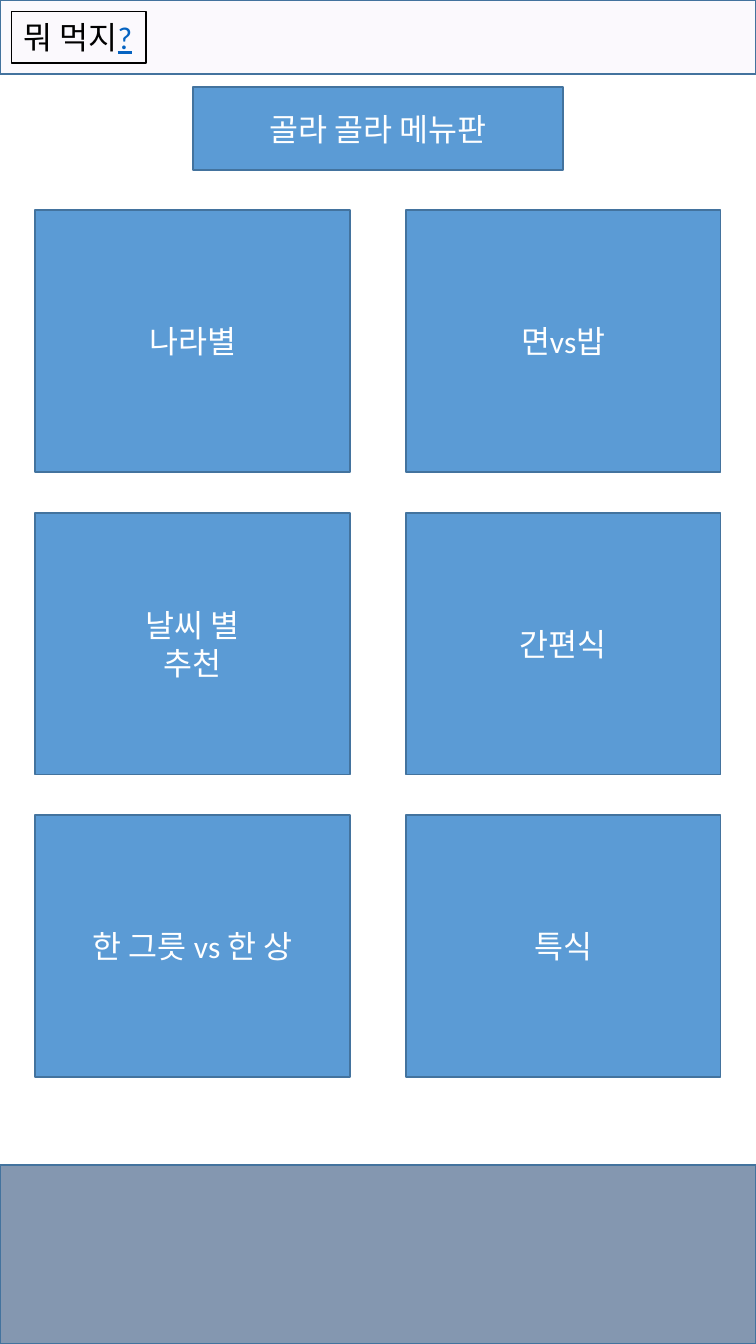
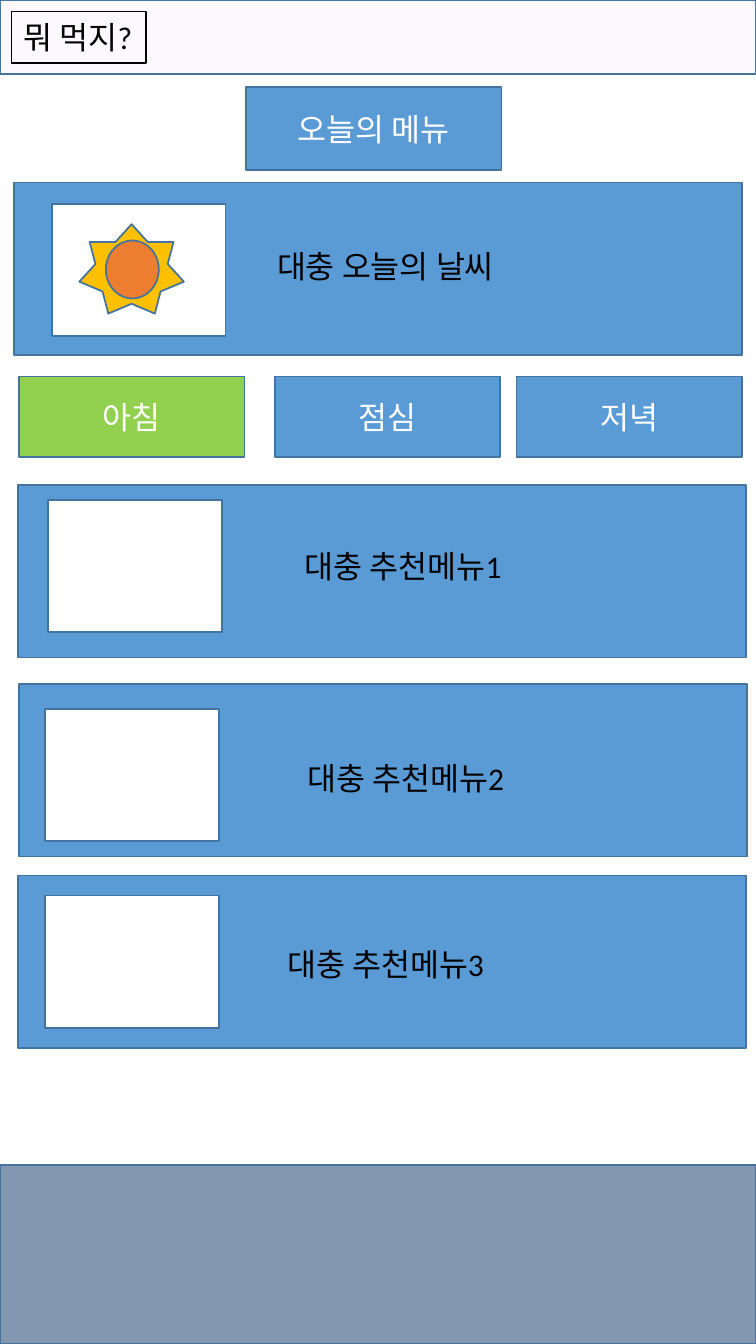
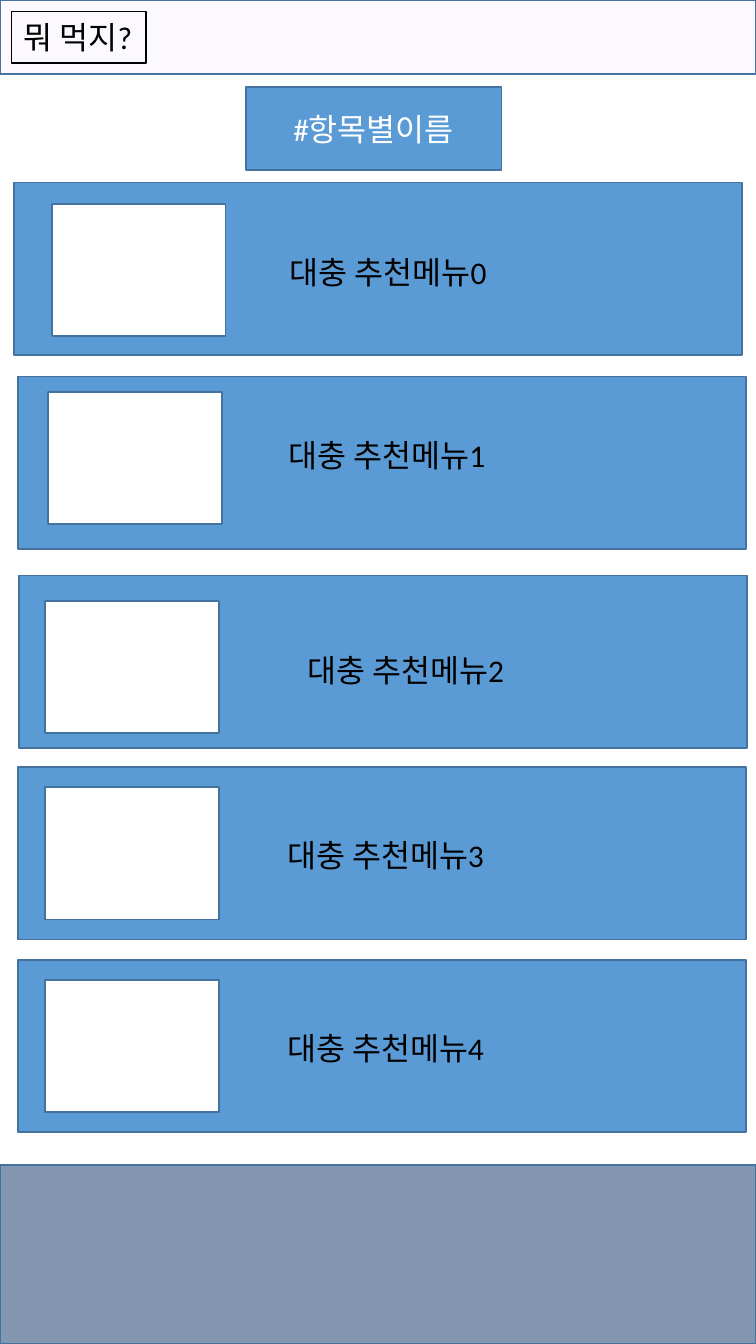
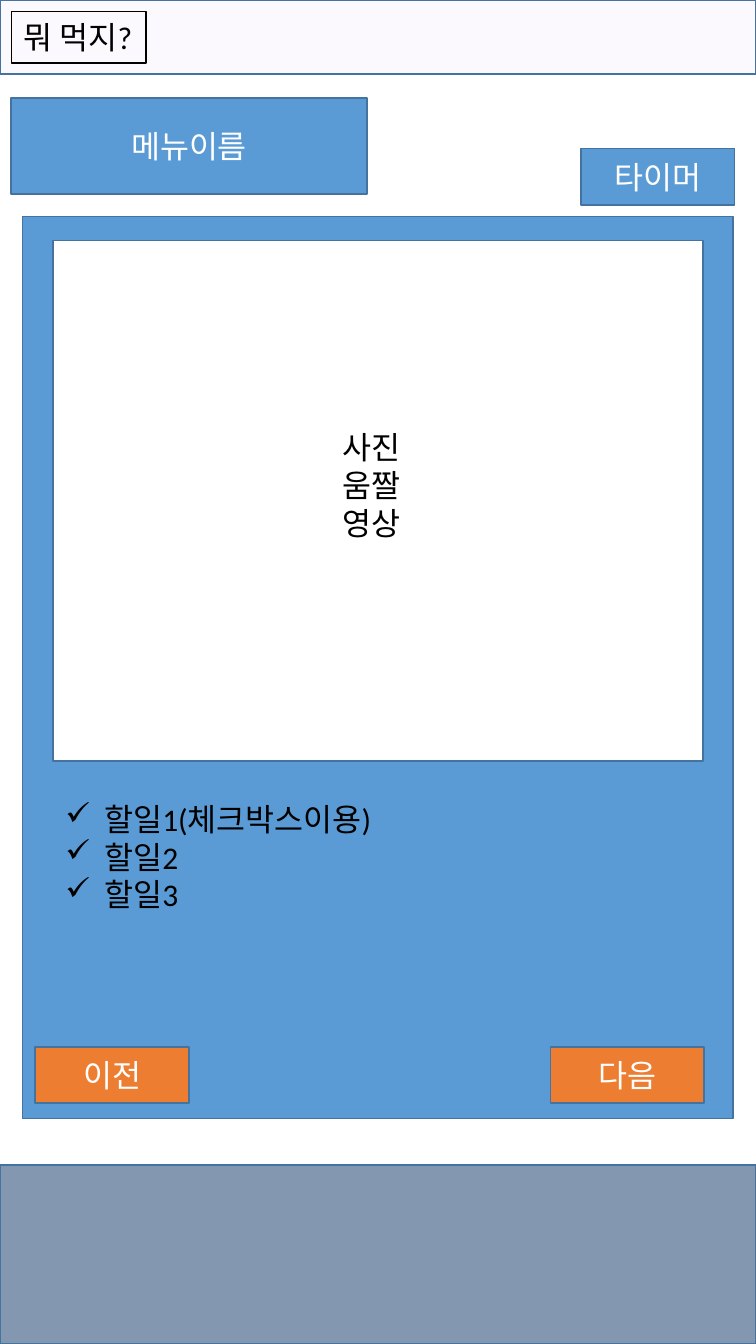
from dataclasses import dataclass

from lxml import etree
from pptx import Presentation, util as u
from pptx.dml.color import RGBColor
from pptx.enum import shapes, text
from pptx.oxml import ns

WIDTH, HEIGHT = 6, 10.67
FONT = "Calibri"
FONT_SIZE = 18

BLUE = RGBColor(0x5B, 0x9B, 0xD5)
EDGE = RGBColor(0x43, 0x73, 0x9E)
LILAC = RGBColor(0xEE, 0xE5, 0xF7)
SLATE = RGBColor(0x84, 0x97, 0xB0)
GREEN = RGBColor(0x92, 0xD0, 0x50)
ORANGE = RGBColor(0xED, 0x7D, 0x31)
GOLD = RGBColor(0xFF, 0xC0, 0x00)
LINK = RGBColor(0x05, 0x63, 0xC1)
WHITE = RGBColor(0xFF, 0xFF, 0xFF)
BLACK = RGBColor(0x00, 0x00, 0x00)

KIND = shapes.MSO_SHAPE
CARD_SIZE = (5.78, 1.37)
PHOTO_SIZE = (1.38, 1.05)
LABEL_SIZE = (3.29, 0.4)
BUTTON_SIZE = (1.22, 0.45)


@dataclass
class MenuRow:
    """Left edges of a row's parts, and drops from the top of its card."""
    card_left: float
    photo_left: float
    photo_drop: float
    label_left: float
    label_drop: float


WEATHER_ROW = MenuRow(0.11, 0.41, 0.17, 2.1, 0.46)
FIRST_ROW = MenuRow(0.11, 0.41, 0.17, 2.2, 0.51)
MORNING_ROW = MenuRow(0.14, 0.38, 0.12, 2.32, 0.44)
UPPER_ROW = MenuRow(0.14, 0.38, 0.12, 2.19, 0.42)
MIDDLE_ROW = MenuRow(0.15, 0.36, 0.2, 2.34, 0.55)
LOWER_ROW = MenuRow(0.14, 0.36, 0.16, 2.18, 0.5)


def inches(*lengths):
    """Turn numbers into lengths."""
    return [u.Inches(length) for length in lengths]


def add_span(para, words, color, underline=None):
    """Add a run in the deck's font."""
    span = para.add_run()
    span.text = words
    span.font.name = FONT
    span.font.size = u.Pt(FONT_SIZE)
    span.font.bold = False
    span.font.color.rgb = color
    span.font.underline = underline


def write(box, words, color=WHITE, align=text.PP_ALIGN.CENTER,
          anchor=text.MSO_ANCHOR.MIDDLE):
    """Write one paragraph for each line of words."""
    frame = box.text_frame
    frame.word_wrap = True
    frame.auto_size = text.MSO_AUTO_SIZE.NONE
    frame.vertical_anchor = anchor
    for number, line in enumerate(words.split("\n")):
        para = frame.add_paragraph() if number else frame.paragraphs[0]
        para.alignment = align
        add_span(para, line, color)


def paint(box, fill=BLUE, line=EDGE, weight=1):
    """Set the fill and outline of a box."""
    if fill is None:
        box.fill.background()
    else:
        box.fill.solid()
        box.fill.fore_color.rgb = fill
    box.line.color.rgb = line
    box.line.width = u.Pt(weight)


def add_box(page, left, top, width, height, words="", kind=KIND.RECTANGLE,
            **colors):
    """Add a painted preset shape with centred white text."""
    box = page.shapes.add_shape(kind, *inches(left, top, width, height))
    box.shadow.inherit = False
    paint(box, **colors)
    if words:
        write(box, words)
    return box


def add_label(page, left, top, width, height, words):
    """Add black left-aligned text without a frame."""
    label = page.shapes.add_textbox(*inches(left, top, width, height))
    write(label, words, BLACK, text.PP_ALIGN.LEFT, text.MSO_ANCHOR.TOP)
    return label


def add_title(page, left, top, width, height, words, preset="roundRect"):
    """Shape the title placeholder as a blue plate."""
    title = page.shapes.title
    title.left, title.top, title.width, title.height = inches(
        left, top, width, height)
    outline = etree.SubElement(title.element.spPr, ns.qn("a:prstGeom"),
                               prst=preset)
    etree.SubElement(outline, ns.qn("a:avLst"))
    paint(title)
    write(title, words)


def add_page(deck, linked=False):
    """Add a page with the app's header band, name and footer band."""
    page = deck.slides.add_slide(deck.slide_layouts[5])
    header = add_box(page, 0, 0, WIDTH, 0.59, fill=LILAC)
    color = header.element.spPr.find(
        ns.qn("a:solidFill")).find(ns.qn("a:srgbClr"))
    etree.SubElement(color, ns.qn("a:alpha"), val="20000")

    name = add_box(page, 0.09, 0.09, 1.07, 0.41, fill=None, line=BLACK,
                   weight=0.75)
    write(name, "뭐 먹지" if linked else "뭐 먹지?", BLACK,
          text.PP_ALIGN.LEFT, text.MSO_ANCHOR.TOP)
    name.text_frame.margin_right = 0
    if linked:
        add_span(name.text_frame.paragraphs[0], "?", LINK, underline=True)

    add_box(page, 0, 9.25, WIDTH, HEIGHT - 9.25, fill=SLATE)
    return page


def add_menu_row(page, row, top, words):
    """Add a card with a photo space and a label."""
    add_box(page, row.card_left, top, *CARD_SIZE)
    add_box(page, row.photo_left, top + row.photo_drop, *PHOTO_SIZE,
            fill=WHITE)
    add_label(page, row.label_left, top + row.label_drop, *LABEL_SIZE, words)


def add_sun(page):
    """Draw the sun of the weather card."""
    add_box(page, 0.63, 1.78, 0.83, 0.71, kind=KIND.STAR_7_POINT, fill=GOLD)
    add_box(page, 0.84, 1.91, 0.42, 0.46, kind=KIND.OVAL, fill=ORANGE)


def add_checks(label):
    """Give each paragraph a check mark and a hanging indent."""
    indent = u.Inches(0.31)
    for para in label.text_frame.paragraphs:
        props = para._p.get_or_add_pPr()
        props.set("marL", str(indent))
        props.set("indent", str(-indent))
        etree.SubElement(props, ns.qn("a:buChar"), char="✓")


def build_menu_board(deck):
    """Build the board of menu categories."""
    page = add_page(deck, linked=True)
    add_title(page, 1.53, 0.69, 2.94, 0.66, "골라 골라 메뉴판")
    categories = ["나라별", "면vs밥", "날씨 별\n추천", "간편식",
                  "한 그릇 vs 한 상", "특식"]
    for number, category in enumerate(categories):
        row, column = divmod(number, 2)
        add_box(page, 0.28 + column * 2.94, 1.67 + row * 2.4, 2.5, 2.08,
                category)


def build_today(deck):
    """Build today's menu with weather and meal tabs."""
    page = add_page(deck)
    add_title(page, 1.95, 0.69, 2.03, 0.66, "오늘의 메뉴")
    add_menu_row(page, WEATHER_ROW, 1.45, "대충 오늘의 날씨")
    add_sun(page)
    for left, meal, fill in [(0.15, "아침", GREEN), (2.18, "점심", BLUE),
                             (4.1, "저녁", BLUE)]:
        add_box(page, left, 2.99, 1.79, 0.64, meal, fill=fill)
    rows = [(MORNING_ROW, 3.85), (MIDDLE_ROW, 5.43), (LOWER_ROW, 6.95)]
    for number, (row, top) in enumerate(rows, start=1):
        add_menu_row(page, row, top, f"대충 추천메뉴{number}")


def build_category(deck):
    """Build the list of menus in one category."""
    page = add_page(deck)
    add_title(page, 1.95, 0.69, 2.03, 0.66, "#항목별이름")
    rows = [(FIRST_ROW, 1.45), (UPPER_ROW, 2.99), (MIDDLE_ROW, 4.57),
            (LOWER_ROW, 6.09), (LOWER_ROW, 7.62)]
    for number, (row, top) in enumerate(rows):
        add_menu_row(page, row, top, f"대충 추천메뉴{number}")


def build_recipe(deck):
    """Build the recipe step with media, tasks and buttons."""
    page = add_page(deck)
    add_title(page, 0.09, 0.78, 2.82, 0.76, "메뉴이름", preset="rect")
    add_box(page, 0.18, 1.72, 5.64, 7.16)
    add_box(page, 0.42, 1.91, 5.16, 4.13, fill=WHITE)
    add_label(page, 2.62, 3.35, 3.64, 1.01, "사진\n움짤\n영상")
    tasks = add_label(page, 0.42, 6.3, 3.64, 1.01,
                      "할일1(체크박스이용)\n할일2\n할일3")
    add_checks(tasks)
    for left, top, words, fill in [(4.61, 1.18, "타이머", BLUE),
                                   (0.28, 8.31, "이전", ORANGE),
                                   (4.37, 8.31, "다음", ORANGE)]:
        add_box(page, left, top, *BUTTON_SIZE, words, fill=fill)


def main():
    """Build and save the deck."""
    deck = Presentation()
    deck.slide_width, deck.slide_height = inches(WIDTH, HEIGHT)
    build_menu_board(deck)
    build_today(deck)
    build_category(deck)
    build_recipe(deck)
    deck.save("out.pptx")


main()
